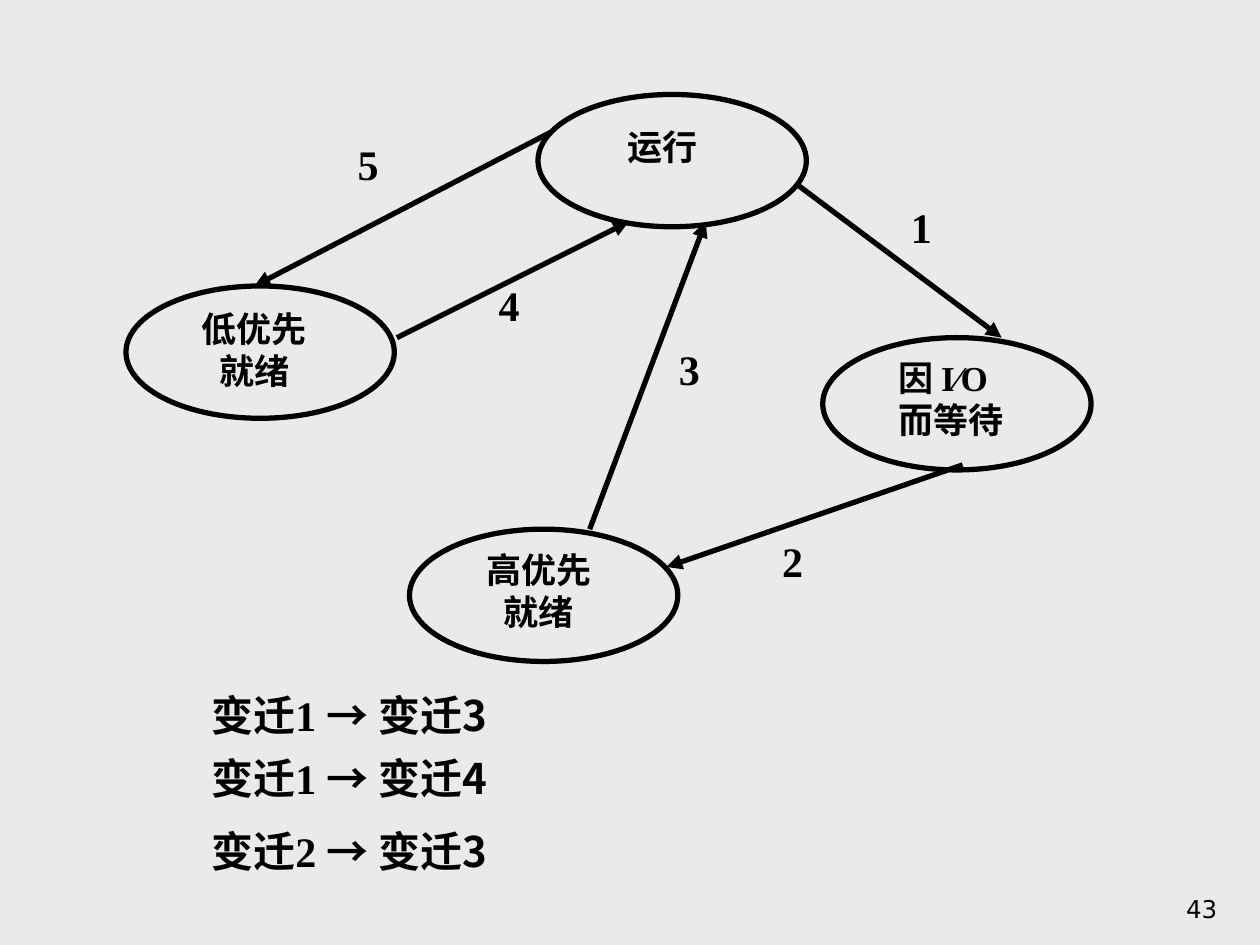
from lxml import etree
from pptx import Presentation
from pptx.dml.color import RGBColor
from pptx.enum.shapes import MSO_CONNECTOR, MSO_SHAPE
from pptx.enum.text import MSO_ANCHOR, PP_ALIGN
from pptx.oxml.ns import qn
from pptx.util import Inches, Pt

STRAIGHT = MSO_CONNECTOR.STRAIGHT
OVAL = MSO_SHAPE.OVAL
BOTTOM = MSO_ANCHOR.BOTTOM
TOP = MSO_ANCHOR.TOP
LEFT = PP_ALIGN.LEFT
RIGHT = PP_ALIGN.RIGHT

BLACK = RGBColor(0x00, 0x00, 0x00)
GRAY = RGBColor(0xEA, 0xEA, 0xEA)
SERIF = "Times New Roman"
SANS = "Noto Sans CJK SC"
NUMBER_FONT = "DejaVu Sans"
LINE_WIDTH = Pt(3)
STATE_W, STATE_H = 2.13, 1.05

STATES = [
    (4.27, 0.75, 0.61, 0.2, [("运行", 0)]),
    (6.53, 2.68, 0.5, 0.1, [("因 I∕O", 0), ("而等待", 0)]),
    (3.25, 4.2, 0.51, 0.1, [("高优先", 0), ("就绪", 0.14)]),
    (1, 2.27, 0.5, 0.12, [("低优先", 0), ("就绪", 0.14)]),
]
TRANSITIONS = [
    ("1", (6.32, 1.46), (7.95, 2.68), (7.13, 1.55)),
    ("2", (7.64, 3.69), (5.29, 4.5), (6.11, 4.2)),
    ("3", (4.68, 4.2), (5.6, 1.76), (5.29, 2.68)),
    ("4", (3.15, 2.68), (4.99, 1.76), (3.86, 2.17)),
    ("5", (4.37, 1.05), (2.02, 2.27), (2.74, 1.05)),
]
CHAINS = [(5.42, "1", "3"), (5.92, "1", "4"), (6.5, "2", "3")]


def add_text(s, x, y, w, h, lines, size, bold=True, align=LEFT, anchor=TOP):
    sp = s.shapes.add_textbox(Inches(x), Inches(y), Inches(w), Inches(h))
    tf = sp.text_frame
    tf.word_wrap = True
    tf.vertical_anchor = anchor
    for i, (runs, indent) in enumerate(lines):
        p = tf.add_paragraph() if i else tf.paragraphs[0]
        p.alignment = align
        if indent:
            p._p.get_or_add_pPr().set("marL", str(Inches(indent)))
        for text, font in runs:
            r = p.add_run()
            r.text = text
            r.font.name = font
            r.font.size = Pt(size)
            r.font.bold = bold
            r.font.color.rgb = BLACK
            ea = etree.SubElement(r._r.get_or_add_rPr(), qn("a:ea"))
            ea.set("typeface", SANS)


def add_state(s, x, y, dx, dy, lines):
    sp = s.shapes.add_shape(OVAL, Inches(x), Inches(y), Inches(STATE_W), Inches(STATE_H))
    sp.shadow.inherit = False
    sp.fill.background()
    sp.line.color.rgb = BLACK
    sp.line.width = LINE_WIDTH
    text = [([(line, SERIF)], indent) for line, indent in lines]
    add_text(s, x + dx, y + dy, 1.64, 0.91, text, 20)


def add_transition(s, label, start, end, label_at):
    line = s.shapes.add_connector(STRAIGHT, *map(Inches, start + end))
    line.line.color.rgb = BLACK
    line.line.width = LINE_WIDTH
    etree.SubElement(line.line._get_or_add_ln(), qn("a:tailEnd")).set("type", "triangle")
    etree.SubElement(line._element.spPr, qn("a:effectLst"))
    add_text(s, *label_at, 0.61, 0.62, [([(label, SERIF)], 0)], 24)


def add_chain(s, x, y, first, second):
    runs = [(f"变迁{first} ", SERIF), (f"→ 变迁{second}", SANS)]
    add_text(s, x, y, 2.92, 0.5, [(runs, 0)], 24)


def main():
    prs = Presentation()
    prs.slide_width, prs.slide_height = Inches(10), Inches(7.5)
    s = prs.slides.add_slide(prs.slide_layouts[6])
    s.background.fill.solid()
    s.background.fill.fore_color.rgb = GRAY
    for state in STATES:
        add_state(s, *state)
    for transition in TRANSITIONS:
        add_transition(s, *transition)
    for y, first, second in CHAINS:
        add_chain(s, 1.58, y, first, second)
    add_text(s, 7.68, 6.88, 2.08, 0.5, [([("43", NUMBER_FONT)], 0)], 14, False, RIGHT, BOTTOM)
    prs.save("out.pptx")


if __name__ == "__main__":
    main()
